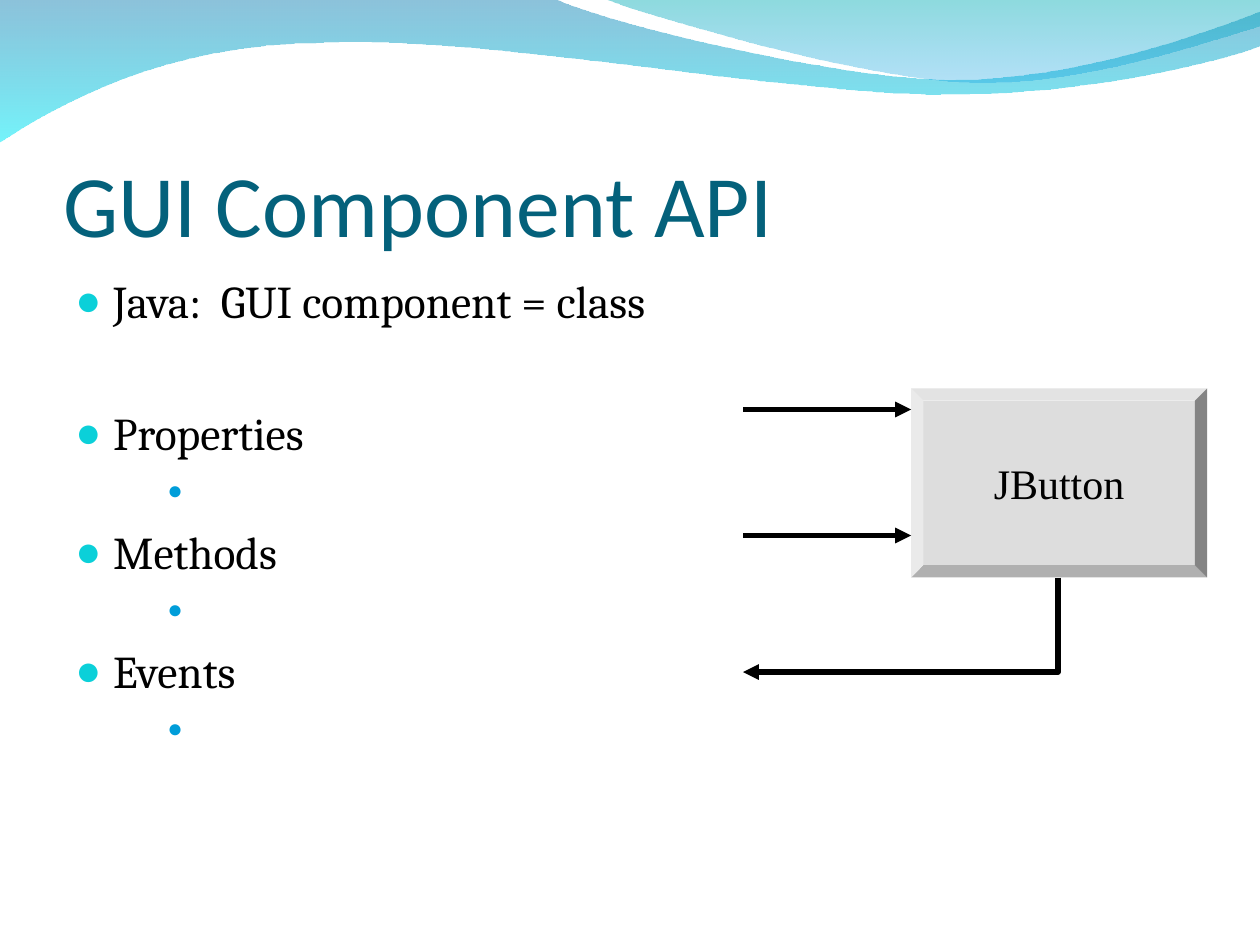
"""Build the GUI Component API slide with its wave header and JButton diagram."""
import pptx
import pptx.dml.color
import pptx.enum.shapes
import pptx.enum.text
import pptx.oxml.ns
import pptx.util
from lxml import etree

Pt = pptx.util.Pt
RGB = pptx.dml.color.RGBColor
ALIGN = pptx.enum.text.PP_ALIGN
ANCHOR = pptx.enum.text.MSO_ANCHOR
qn = pptx.oxml.ns.qn

BLACK = RGB(0x00, 0x00, 0x00)
TITLE_TEAL = RGB(0x04, 0x61, 0x7B)
BULLET_TEAL = RGB(0x0B, 0xD0, 0xD9)
BULLET_BLUE = RGB(0x00, 0x9D, 0xD9)
BUTTON_GRAY = RGB(0xDD, 0xDD, 0xDD)
WAVE_BLUE = RGB(0x00, 0x79, 0xAF)
WAVE_CYAN = RGB(0x00, 0xEB, 0xF8)
WAVE_GREEN = RGB(0x00, 0xAD, 0xB6)
WAVE_SKY = RGB(0x00, 0x9B, 0xE5)


def write_text(para, text, font, size, color=BLACK, align=ALIGN.LEFT, before=0,
               bullet=None, bullet_size=95, margin=0, hanging=0):
    """Write one formatted paragraph, with a bullet if a bullet colour is given."""
    if bullet is not None:
        props = para._p.get_or_add_pPr()
        props.set("marL", str(Pt(margin)))
        props.set("indent", str(-Pt(hanging)))
        bullet_color = etree.SubElement(props, qn("a:buClr"))
        etree.SubElement(bullet_color, qn("a:srgbClr"), val=str(bullet))
        etree.SubElement(props, qn("a:buSzPct"), val=str(bullet_size * 1000))
        etree.SubElement(props, qn("a:buFont"), typeface="Times New Roman")
        etree.SubElement(props, qn("a:buChar"), char="●")
    para.alignment = align
    para.space_before = Pt(before)
    span = para.add_run()
    span.text = text
    span.font.name = font
    span.font.size = Pt(size)
    span.font.color.rgb = color


def style_arrow(arrow):
    """Give a line its black stroke and arrowhead, without a shadow."""
    arrow.line.color.rgb = BLACK
    arrow.line.width = Pt(3)
    etree.SubElement(arrow.line._get_or_add_ln(), qn("a:tailEnd"), type="triangle")
    etree.SubElement(arrow._element.spPr, qn("a:effectLst"))


deck = pptx.Presentation()
deck.slide_width, deck.slide_height = Pt(720), Pt(540)
page = deck.slides.add_slide(deck.slide_layouts[5])
title = page.shapes.title

long_wave = [
    [(316.8, -0.7)],
    [(342.7, 12.2), (478.1, 45.4), (545.8, 45.4)],
    [(614.2, 45.4), (689.8, 18.7), (720, 6.5)],
    [(720.7, 25.9)],
    [(707.8, 31.7), (626.4, 54.7), (537.1, 54)],
    [(447.8, 54), (275, 20.2), (185, 24.5)],
    [(92.9, 25.2), (33.1, 59.8), (-0.7, 81.4)],
]
short_wave = [
    [(366.5, 7.9), (491, 44.6), (553.7, 46.8)],
    [(616.3, 49.7), (691.9, 23), (720, 15.1)],
    [(720, 0)],
]
waves = [
    ((0, -0.7), long_wave, [(WAVE_BLUE, 45), (WAVE_CYAN, 55)]),
    ((344.9, -0.7), short_wave, [(WAVE_GREEN, 45), (WAVE_SKY, 30)]),
]
for (left, top), segments, colors in waves:
    outline = page.shapes.build_freeform(Pt(left), Pt(top))
    outline.add_line_segments([(Pt(x), Pt(y)) for segment in segments for x, y in segment],
                              close=True)
    wave = outline.convert_to_shape()
    nodes = iter(list(wave._element.spPr.iter(qn("a:lnTo"))))
    for segment in segments:
        group = [next(nodes) for point in segment]
        if len(group) == 3:
            curve = etree.Element(qn("a:cubicBezTo"))
            group[0].addprevious(curve)
            for node in group:
                curve.append(node[0])
                node.getparent().remove(node)
    wave.shadow.inherit = False
    wave.line.fill.background()
    wave.fill.gradient()
    wave.fill.gradient_angle = 270
    for stop, (color, opacity) in zip(wave.fill.gradient_stops, colors):
        stop.color.rgb = color
    for node, (color, opacity) in zip(wave._element.spPr.iter(qn("a:srgbClr")), colors):
        etree.SubElement(node, qn("a:alpha"), val=str(opacity * 1000))

title.left, title.top, title.width, title.height = Pt(36), Pt(55.8), Pt(648), Pt(90)
frame = title.text_frame
frame.margin_left = frame.margin_right = frame.margin_bottom = 0
frame.margin_top = Pt(3.6)
frame.vertical_anchor = ANCHOR.BOTTOM
frame.auto_size = pptx.enum.text.MSO_AUTO_SIZE.NONE
write_text(frame.paragraphs[0], "GUI Component API", font="Calibri", size=50, color=TITLE_TEAL)

body = page.shapes.add_textbox(Pt(36), Pt(152.6), Pt(648), Pt(345.6)).text_frame
body.word_wrap = True
topic = dict(font="Cambria", size=26, bullet=BULLET_TEAL, margin=21.6, hanging=21.6)
detail = dict(font="Cambria", size=21, bullet=BULLET_BLUE, bullet_size=70,
              margin=72, hanging=19.4, before=5.2)
write_text(body.paragraphs[0], "Java:  GUI component = class", **topic)
for name, gap in [("Properties", 44.2), ("Methods", 6.5), ("Events", 6.5)]:
    write_text(body.add_paragraph(), name, before=gap, **topic)
    para = body.add_paragraph()
    para.level = 2
    write_text(para, " ", **detail)

button = page.shapes.add_shape(pptx.enum.shapes.MSO_SHAPE.BEVEL,
                               Pt(520.6), Pt(222), Pt(169.2), Pt(108))
button.adjustments[0] = 0.065
button.shadow.inherit = False
button.fill.solid()
button.fill.fore_color.rgb = BUTTON_GRAY
button.line.fill.background()
button.text_frame.word_wrap = False
button.text_frame.vertical_anchor = ANCHOR.MIDDLE
write_text(button.text_frame.paragraphs[0], "JButton", font="Times New Roman", size=24,
           align=ALIGN.CENTER)

for y in (234, 306):
    style_arrow(page.shapes.add_connector(
        pptx.enum.shapes.MSO_CONNECTOR.STRAIGHT, Pt(424.6), Pt(y), Pt(520.6), Pt(y)))

outline = page.shapes.build_freeform(Pt(604.6), Pt(330))
outline.add_line_segments([(Pt(604.6), Pt(384)), (Pt(424.6), Pt(384))], close=False)
event_arrow = outline.convert_to_shape()
event_arrow.fill.background()
style_arrow(event_arrow)

deck.save("out.pptx")
